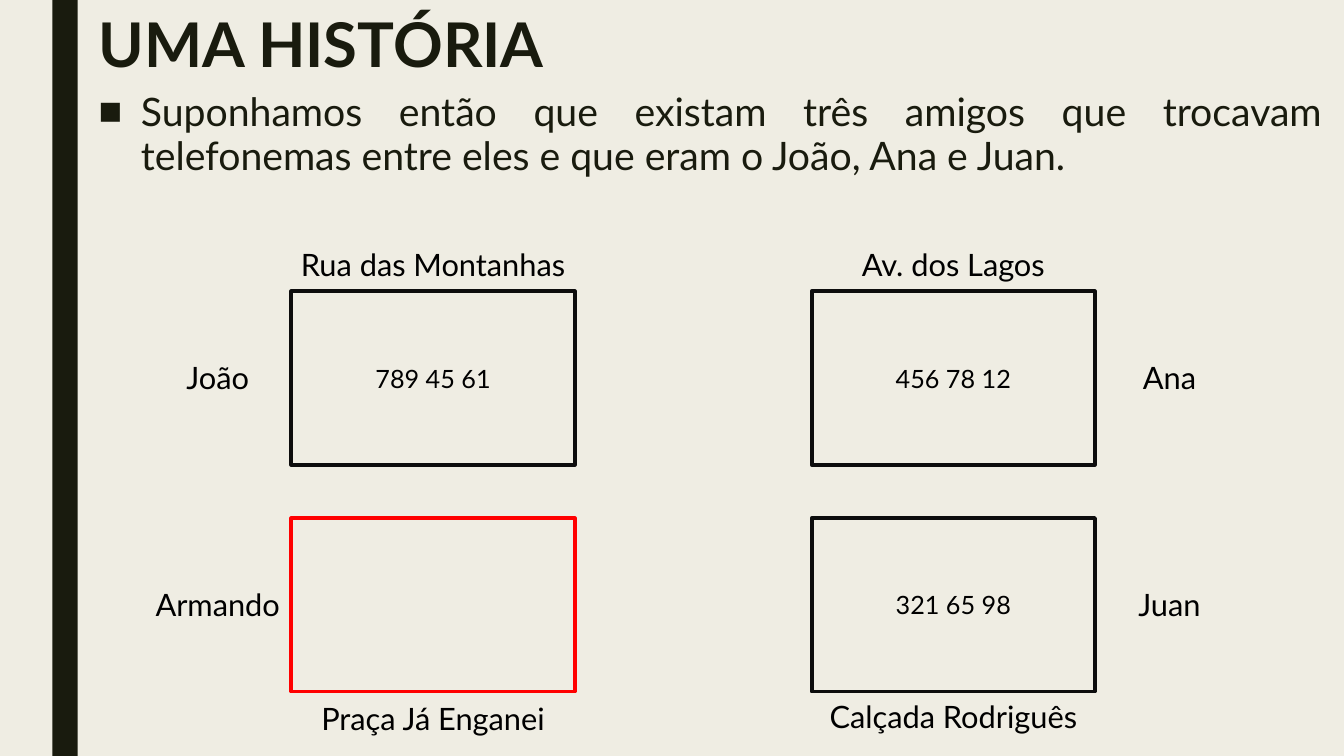
from lxml.etree import SubElement
from pptx import Presentation
from pptx.dml.color import RGBColor
from pptx.enum.shapes import MSO_SHAPE
from pptx.enum.text import MSO_ANCHOR, PP_ALIGN
from pptx.oxml.ns import qn
from pptx.util import Pt

PX = 9144
COLORS = {"paper": "EFEDE3", "ink": "191B0E", "frame": "0D0D0D",
          "alert": "FF0000", "label": "000000"}
FONT = "Lato"
HOUSE_W, HOUSE_H = 281, 172
LABEL_H = 47
NAME_W, STREET_W = 146, 409
COLUMNS = (289, 805)
ROWS = (289, 514)
HOUSES = [
    ("João", "Rua das Montanhas", "789 45 61", "frame", 0, 0, -50),
    ("Ana", "Av. dos Lagos", "456 78 12", "frame", 1, 0, -50),
    ("Armando", "Praça Já Enganei", "", "alert", 0, 1, 175),
    ("Juan", "Calçada Rodriguês", "321 65 98", "frame", 1, 1, 173),
]


def rgb(name):
    return RGBColor.from_string(COLORS[name])


def emu(box):
    return [length * PX for length in box]


def write(frame, text, size, color="label", bold=False, anchor=MSO_ANCHOR.TOP, **spacing):
    frame.word_wrap = True
    frame.vertical_anchor = anchor
    paragraph = frame.paragraphs[0]
    for name, value in {"alignment": PP_ALIGN.CENTER, **spacing}.items():
        setattr(paragraph, name, value)
    run = paragraph.add_run()
    run.text = text
    for name, value in {"name": FONT, "size": Pt(size), "bold": bold}.items():
        setattr(run.font, name, value)
    run.font.color.rgb = rgb(color)
    return paragraph


def add_text(slide, box, text, size, **style):
    return write(slide.shapes.add_textbox(*emu(box)).text_frame, text, size, **style)


def add_rectangle(slide, box):
    rectangle = slide.shapes.add_shape(MSO_SHAPE.RECTANGLE, *emu(box))
    rectangle.shadow.inherit = False
    return rectangle


def add_side_bar(slide, box):
    bar = add_rectangle(slide, box)
    bar.fill.solid()
    bar.fill.fore_color.rgb = rgb("ink")
    bar.line.fill.background()


def add_heading(slide, box):
    add_text(slide, box, "UMA HISTÓRIA", 44, color="ink", bold=True,
             anchor=MSO_ANCHOR.MIDDLE, alignment=PP_ALIGN.LEFT, line_spacing=0.89)


def add_story(slide, box):
    story = add_text(
        slide, box,
        "Suponhamos então que existam três amigos que trocavam "
        "telefonemas entre eles e que eram o João, Ana e Juan.",
        28, color="ink", alignment=PP_ALIGN.JUSTIFY, line_spacing=0.94,
        space_before=Pt(10), space_after=Pt(2))
    properties = story._p.get_or_add_pPr()
    properties.set("marL", str(42 * PX))
    properties.set("indent", str(-42 * PX))
    SubElement(properties, qn("a:buFont"), typeface="Arial")
    SubElement(properties, qn("a:buChar"), char="■")


def add_house(slide, box, friend, street, phone, outline, friend_offset, street_offset):
    left, top, width, height = box
    house = add_rectangle(slide, box)
    house.fill.background()
    house.line.color.rgb = rgb(outline)
    house.line.width = Pt(2.75)
    if phone:
        write(house.text_frame, phone, 18, anchor=MSO_ANCHOR.MIDDLE)
    friend_top = top + (height - LABEL_H) // 2
    add_text(slide, (left + friend_offset, friend_top, NAME_W, LABEL_H), friend, 22)
    street_left = left + (width - STREET_W) // 2
    add_text(slide, (street_left, top + street_offset, STREET_W, LABEL_H), street, 22)


def add_neighbourhood(slide):
    friend_offsets = (-NAME_W, HOUSE_W + 1)
    for friend, street, phone, outline, column, row, street_offset in HOUSES:
        add_house(slide, (COLUMNS[column], ROWS[row], HOUSE_W, HOUSE_H),
                  friend, street, phone, outline, friend_offsets[column], street_offset)


def main():
    presentation = Presentation()
    presentation.slide_width, presentation.slide_height = emu((1333, 750))
    slide = presentation.slides.add_slide(presentation.slide_layouts[6])
    slide.background.fill.solid()
    slide.background.fill.fore_color.rgb = rgb("paper")
    add_side_bar(slide, (52, 0, 25, 750))
    add_heading(slide, (88, 10, 1233, 75))
    add_story(slide, (88, 85, 1233, 654))
    add_neighbourhood(slide)
    presentation.save("out.pptx")


if __name__ == "__main__":
    main()
